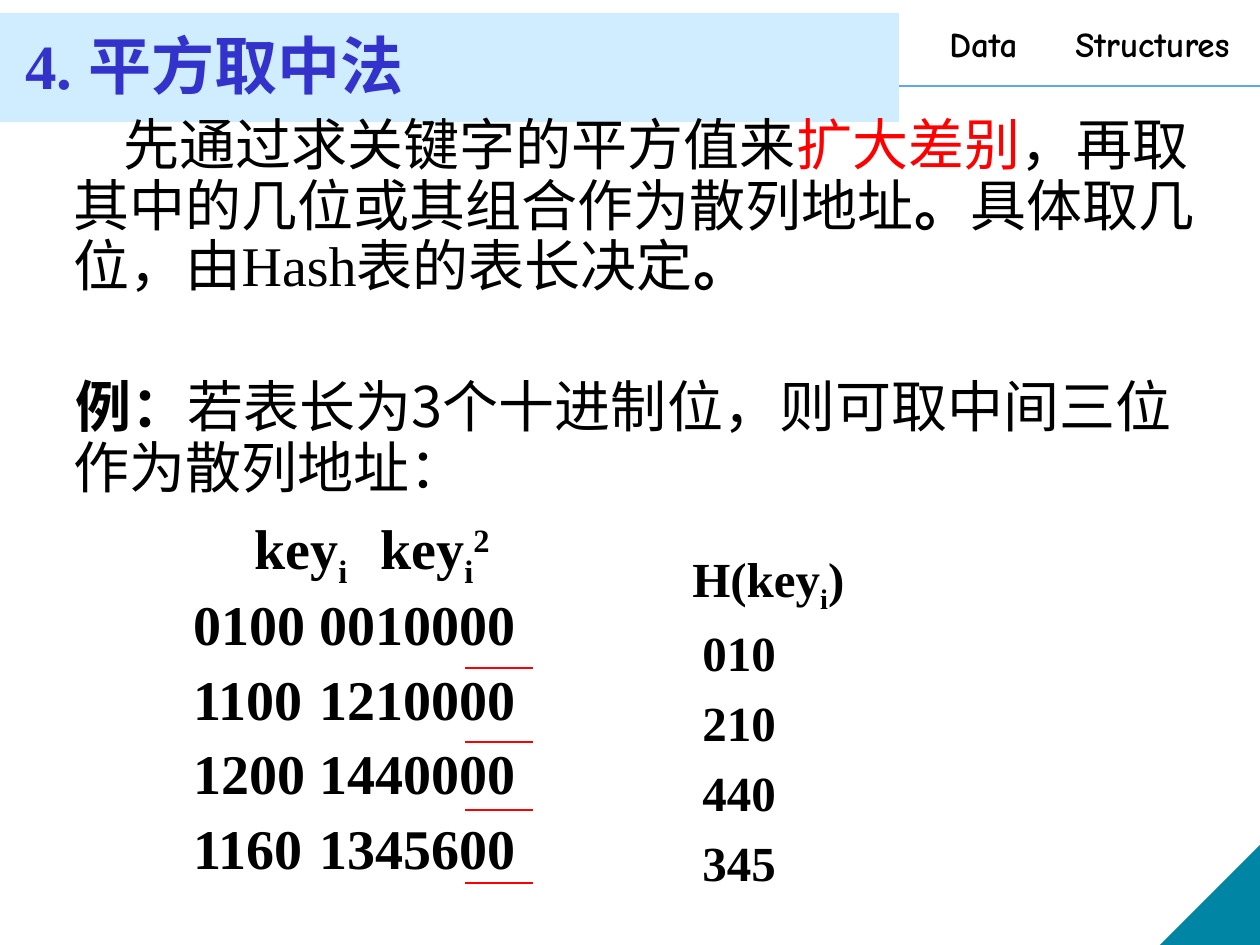
from dataclasses import dataclass

from lxml.etree import SubElement
from pptx import Presentation
from pptx.dml.color import RGBColor
from pptx.enum.shapes import MSO_CONNECTOR as Connector, MSO_SHAPE as Preset
from pptx.oxml.ns import qn
from pptx.util import Emu, Pt

EMU_PER_PX = 914400 / 126


@dataclass(frozen=True)
class Theme:
    ink: str = "000000"
    title: str = "3333CC"
    accent: str = "FF0000"
    band: str = "CFEDFE"
    rule: str = "5AAAED"
    corner: str = "0085A4"
    serif: str = "Times New Roman"
    chinese: str = "Noto Sans CJK SC"
    comic: str = "Comic Neue"
    title_size: int = 36
    body_size: int = 32
    hash_size: int = 28
    header_size: int = 20


@dataclass(frozen=True)
class Box:
    left: int
    top: int
    width: int
    height: int


@dataclass(frozen=True)
class HashRow:
    key: str
    square: str
    address: str
    underline: int


THEME = Theme()
SUBSCRIPT, SUPERSCRIPT = -25000, 30000
ROWS = [
    HashRow("0100", "0010000", "010", 668),
    HashRow("1100", "1210000", "210", 742),
    HashRow("1200", "1440000", "440", 810),
    HashRow("1160", "1345600", "345", 883),
]


def px(length: int) -> Emu:
    return Emu(round(length * EMU_PER_PX))


def place(box: Box) -> tuple:
    return px(box.left), px(box.top), px(box.width), px(box.height)


def add_run(paragraph, text: str, *, size: int = THEME.body_size, font: str = THEME.serif,
            color: str = THEME.ink, bold: bool = True, baseline: int = 0) -> None:
    run = paragraph.add_run()
    run.text = text
    run.font.size = Pt(size)
    run.font.bold = bold
    run.font.color.rgb = RGBColor.from_string(color)
    run.font.name = font
    properties = run._r.get_or_add_rPr()
    SubElement(properties, qn("a:ea"), typeface=THEME.chinese)
    if baseline:
        properties.set("baseline", str(baseline))


def format_paragraph(paragraph, *, margin: int = 0, indent: int = 0, before: int = 0,
                     spacing: float = 1.0, tabs: tuple = ()) -> None:
    paragraph.line_spacing = spacing
    paragraph.space_before = Pt(before)
    properties = paragraph._p.get_or_add_pPr()
    properties.set("marL", str(px(margin)))
    properties.set("indent", str(px(indent)))
    if tabs:
        tab_list = SubElement(properties, qn("a:tabLst"))
        for position in tabs:
            SubElement(tab_list, qn("a:tab"), pos=str(px(position)), algn="l")


def add_text_frame(slide, box: Box):
    frame = slide.shapes.add_textbox(*place(box)).text_frame
    frame.word_wrap = True
    return frame


def add_filled_shape(slide, preset, box: Box, color: str):
    shape = slide.shapes.add_shape(preset, *place(box))
    shape.shadow.inherit = False
    shape.fill.solid()
    shape.fill.fore_color.rgb = RGBColor.from_string(color)
    shape.line.fill.background()
    return shape


def add_rule(slide, left: int, right: int, top: int, color: str, weight: float) -> None:
    line = slide.shapes.add_connector(Connector.STRAIGHT, px(left), px(top), px(right), px(top))
    line.line.color.rgb = RGBColor.from_string(color)
    line.line.width = Pt(weight)
    SubElement(line._element.spPr, qn("a:effectLst"))


def add_background(slide) -> None:
    add_rule(slide, 0, 1260, 86, THEME.rule, 1)
    corner = add_filled_shape(slide, Preset.RIGHT_TRIANGLE, Box(1160, 845, 100, 100), THEME.corner)
    corner._element.spPr.xfrm.set("flipH", "1")
    header = add_text_frame(slide, Box(937, 16, 328, 54)).paragraphs[0]
    format_paragraph(header, tabs=(93,))
    add_run(header, "Data\tStructures", size=THEME.header_size, font=THEME.comic)
    add_filled_shape(slide, Preset.RECTANGLE, Box(0, 13, 899, 109), THEME.band)


def add_body(slide) -> None:
    frame = add_text_frame(slide, Box(13, 29, 1201, 893))
    title = frame.paragraphs[0]
    format_paragraph(title, margin=48, indent=-48, spacing=0.9)
    add_run(title, "4. 平方取中法", size=THEME.title_size, color=THEME.title)

    method = frame.add_paragraph()
    format_paragraph(method, margin=48, indent=50, before=8, spacing=0.9)
    add_run(method, "先通过求关键字的平方值来", font=THEME.chinese, bold=False)
    add_run(method, "扩大差别", font=THEME.chinese, color=THEME.accent, bold=False)
    add_run(method, "，再取其中的几位或其组合作为散列地址", font=THEME.chinese, bold=False)
    add_run(method, "。")
    add_run(method, "具体取几位，由Hash表的表长决定", bold=False)
    add_run(method, "。")

    example = frame.add_paragraph()
    format_paragraph(example, margin=48, indent=2, before=46, spacing=0.9)
    add_run(example, "例：")
    add_run(example, "若表长为3个十进制位，则可取中间三位作为散列地址：",
            font=THEME.chinese, bold=False)

    heading = frame.add_paragraph()
    format_paragraph(heading, margin=229, before=8, spacing=0.9, tabs=(462,))
    add_run(heading, "key")
    add_run(heading, "i", baseline=SUBSCRIPT)
    add_run(heading, "\tkey")
    add_run(heading, "i", baseline=SUBSCRIPT)
    add_run(heading, "2", baseline=SUPERSCRIPT)

    for row in ROWS:
        paragraph = frame.add_paragraph()
        format_paragraph(paragraph, margin=168, before=8, spacing=0.9, tabs=(392,))
        add_run(paragraph, f"{row.key}\t{row.square}")


def add_addresses(slide) -> None:
    heading = add_text_frame(slide, Box(680, 542, 198, 72)).paragraphs[0]
    add_run(heading, "H(key", size=THEME.hash_size)
    add_run(heading, "i", size=THEME.hash_size, baseline=SUBSCRIPT)
    add_run(heading, ")", size=THEME.hash_size)
    for index, row in enumerate(ROWS):
        frame = add_text_frame(slide, Box(690, 616 + 70 * index, 147, 72))
        add_run(frame.paragraphs[0], row.address, size=THEME.hash_size)
    for row in ROWS:
        add_rule(slide, 465, 533, row.underline, THEME.accent, 1.5)


def main() -> None:
    presentation = Presentation()
    presentation.slide_width, presentation.slide_height = px(1260), px(945)
    slide = presentation.slides.add_slide(presentation.slide_layouts[6])
    add_background(slide)
    add_body(slide)
    add_addresses(slide)
    presentation.save("out.pptx")


if __name__ == "__main__":
    main()
